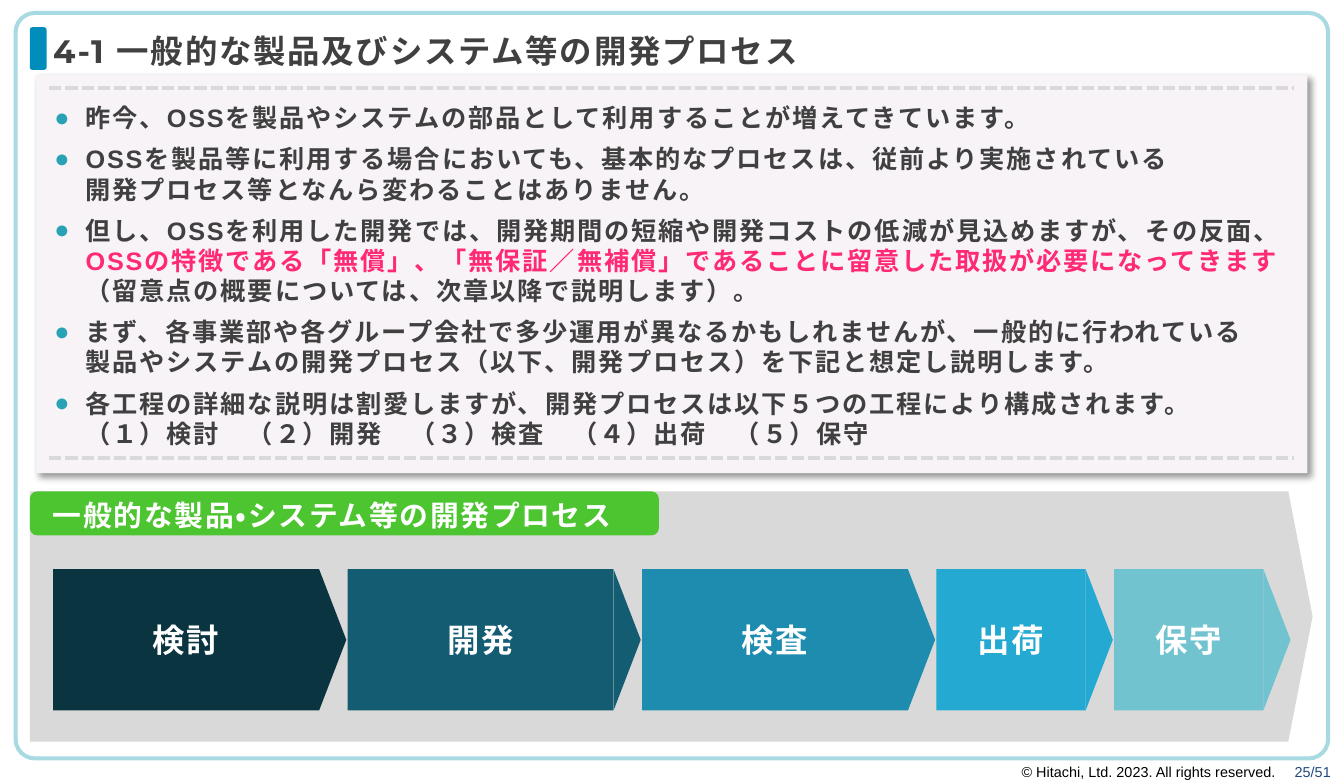
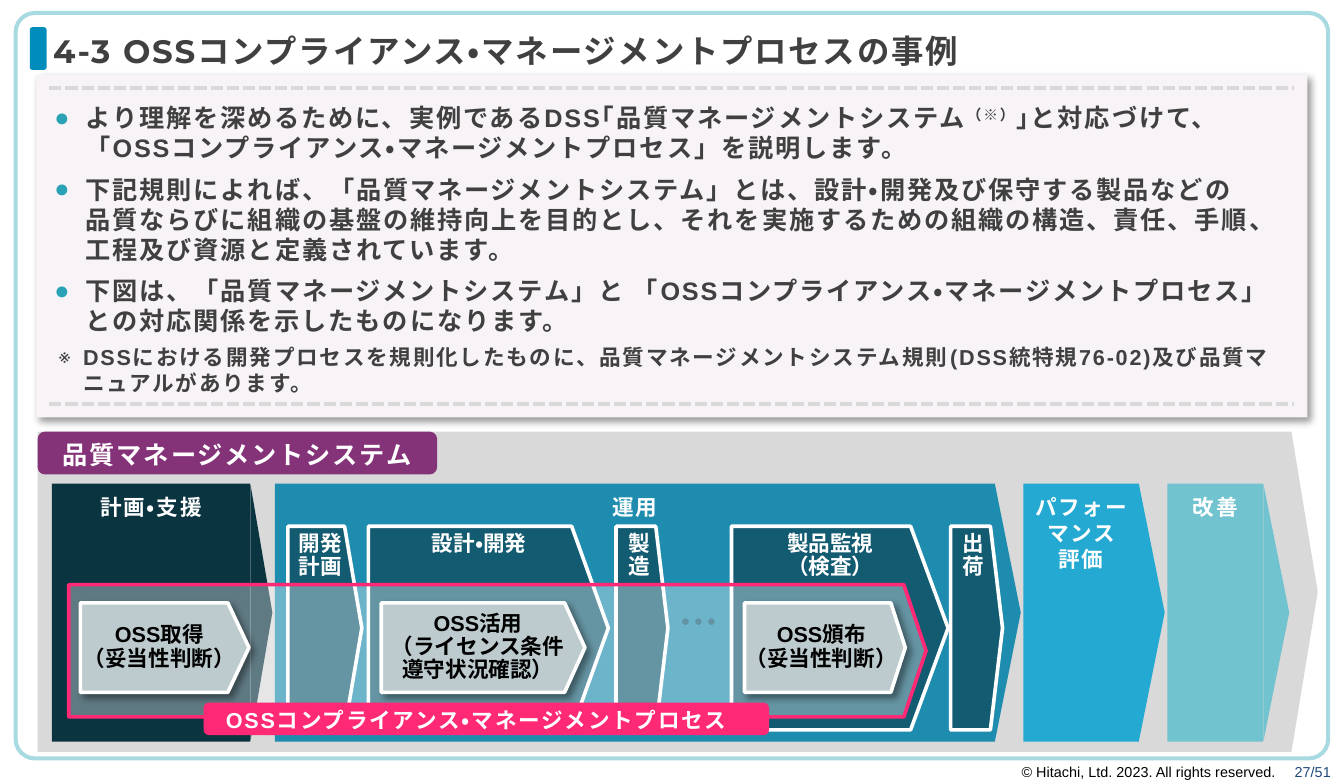
from copy import deepcopy

from lxml import etree
from pptx import Presentation
from pptx.dml.color import RGBColor
from pptx.enum.dml import MSO_LINE
from pptx.enum.lang import MSO_LANGUAGE_ID
from pptx.enum.shapes import MSO_CONNECTOR, MSO_SHAPE
from pptx.enum.text import MSO_ANCHOR, MSO_AUTO_SIZE, PP_ALIGN
from pptx.oxml.ns import qn
from pptx.util import Cm, Inches, Pt

RECTANGLE = MSO_SHAPE.RECTANGLE
ROUNDED = MSO_SHAPE.ROUNDED_RECTANGLE
TRIANGLE = MSO_SHAPE.ISOSCELES_TRIANGLE
PENTAGON = MSO_SHAPE.PENTAGON
OVAL = MSO_SHAPE.OVAL
STRAIGHT = MSO_CONNECTOR.STRAIGHT
SYSTEM_DASH = MSO_LINE.SQUARE_DOT
LEFT, CENTER, RIGHT = PP_ALIGN.LEFT, PP_ALIGN.CENTER, PP_ALIGN.RIGHT
TOP, MIDDLE = MSO_ANCHOR.TOP, MSO_ANCHOR.MIDDLE
NO_AUTOFIT = MSO_AUTO_SIZE.NONE
JAPANESE = MSO_LANGUAGE_ID.JAPANESE

COLORS = {
    "black": "000000", "white": "FFFFFF", "text": "404040", "page": "1F497D",
    "frame": "A8DAE2", "marker": "008DBC", "panel": "F7F3F7", "gray": "D9D9D9",
    "bullet": "29A2B5", "pink": "FF2975", "green": "4DC531", "purple": "853379",
    "navy": "0B3441", "teal": "145C72", "blue": "1E8CAE", "sky": "24A9D2",
    "aqua": "72C3D0", "dot": "105973", "task": "BDCBCE",
}
DEFAULT_INSETS = (0.1, 0.05, 0.1, 0.05)
LIST_INSETS = (0.08, 0, 0.16, 0)


def color(name):
    """Return the named palette colour."""
    return RGBColor.from_string(COLORS[name])


def add_xml(parent, tag, **attributes):
    """Append a drawing element with attributes and return it."""
    element = etree.SubElement(parent, qn(tag))
    for key, value in attributes.items():
        element.set(key, str(value))
    return element


def add_bullet(paragraph, character, indent, tint):
    """Give a paragraph a hanging bullet."""
    properties = paragraph._p.get_or_add_pPr()
    properties.set("marL", str(Inches(indent)))
    properties.set("indent", str(-Inches(indent)))
    add_xml(add_xml(properties, "a:buClr"), "a:srgbClr", val=COLORS[tint])
    add_xml(properties, "a:buFont", typeface="Arial")
    add_xml(properties, "a:buChar", char=character)


def add_run(paragraph, text, size, tint, bold, tracking, font, baseline):
    """Add formatted text to a paragraph, breaking at newlines."""
    for number, piece in enumerate(text.split("\n")):
        if number:
            paragraph.add_line_break()
            paragraph._p[-1].append(deepcopy(run._r.rPr))
        run = paragraph.add_run()
        run.text = piece
        run.font.name, run.font.size, run.font.bold = font, Pt(size), bold
        run.font.color.rgb = color(tint)
        run.font.language_id = JAPANESE
        properties = run._r.get_or_add_rPr()
        if tracking:
            properties.set("spc", str(tracking * 100))
        if baseline:
            properties.set("baseline", str(baseline * 1000))


def write(shape, paragraphs, size=12, tint="white", bold=True, tracking=0, font="Arial",
          align=LEFT, anchor=TOP, insets=DEFAULT_INSETS, wrap=True, spacing=1.0,
          before=0, bullet=None):
    """Fill a shape with paragraphs, each a string or a list of (text, changes) runs."""
    frame = shape.text_frame
    frame.auto_size, frame.word_wrap, frame.vertical_anchor = NO_AUTOFIT, wrap, anchor
    (frame.margin_left, frame.margin_top,
     frame.margin_right, frame.margin_bottom) = map(Inches, insets)
    style = dict(size=size, tint=tint, bold=bold, tracking=tracking, font=font, baseline=0)
    for number, content in enumerate(paragraphs):
        paragraph = frame.add_paragraph() if number else frame.paragraphs[0]
        paragraph.alignment, paragraph.line_spacing = align, spacing
        paragraph.space_before = Pt(before if number else 0)
        if bullet:
            add_bullet(paragraph, *bullet)
        runs = [(content, {})] if isinstance(content, str) else content
        for text, changes in runs:
            add_run(paragraph, text, **{**style, **changes})


def add_shape(slide, kind, box, fill=None, opacity=None, line=None, weight=2,
              adjustment=None, shadow=False):
    """Add a preset shape in a box of inches."""
    shape = slide.shapes.add_shape(kind, *map(Inches, box))
    shape.shadow.inherit = False
    properties = shape.element.spPr
    if adjustment is not None:
        shape.adjustments[0] = adjustment
    if fill:
        shape.fill.solid()
        shape.fill.fore_color.rgb = color(fill)
    else:
        shape.fill.background()
    if opacity:
        tone = properties.find(qn("a:solidFill")).find(qn("a:srgbClr"))
        add_xml(tone, "a:alpha", val=opacity * 1000)
    if line:
        shape.line.color.rgb = color(line)
        shape.line.width = Pt(weight)
    else:
        shape.line.fill.background()
    if shadow:
        outer = add_xml(properties.find(qn("a:effectLst")), "a:outerShdw", blurRad=Pt(4),
                        dist=Pt(3), dir=45 * 60000, algn="tl", rotWithShape=0)
        add_xml(add_xml(outer, "a:srgbClr", val=COLORS["black"]), "a:alpha", val=40000)
    return shape


def place(shape, box):
    """Move a shape to a box of inches."""
    shape.left, shape.top, shape.width, shape.height = map(Inches, box)


def add_base(presentation, title, page):
    """Add a slide with the shared frame, title and footer."""
    slide = presentation.slides.add_slide(presentation.slide_layouts[1])
    footer = slide.shapes.add_textbox(*map(Inches, (6.81, 5.84, 3.55, 0.24)))
    write(footer, [[("© Hitachi, Ltd. 2023. All rights reserved. 　", {}),
                    (page, {"tint": "page"})]],
          size=8, tint="black", bold=False, align=RIGHT)
    add_shape(slide, ROUNDED, (0.23, 0.21, 0.13, 0.33), "marker")
    add_shape(slide, ROUNDED, (0.12, 0.1, 10.12, 5.75), line="frame", weight=2.25,
              adjustment=0.026)
    place(slide.shapes.title, (0.31, 0.22, 9.83, 0.37))
    write(slide.shapes.title, [title], size=18, tint="text", tracking=1,
          font="Montserrat", anchor=MIDDLE, spacing=0.9)
    return slide


def add_panel(slide, box, points, bottom_gap=0.1):
    """Add the shaded panel with dashed rules and the bullet list."""
    left, top, width, height = box
    add_shape(slide, RECTANGLE, box, "panel", shadow=True)
    for y in (top + 0.1, top + height - bottom_gap):
        rule = slide.shapes.add_connector(
            STRAIGHT, *map(Inches, (left + 0.1, y, left + width - 0.1, y)))
        rule.line.color.rgb = color("gray")
        rule.line.width, rule.line.dash_style = Pt(2.25), SYSTEM_DASH
        add_xml(rule.element.spPr, "a:effectLst")
    body = slide.placeholders[1]
    place(body, (left + 0.06, top + 0.21, width - 0.02, height - 0.35))
    body.element.getparent().append(body.element)
    write(body, points, size=14, tint="text", tracking=1, insets=LIST_INSETS,
          before=6, bullet=("●", 0.24, "bullet"))


def add_label(slide, box, text, fill, size, align=LEFT):
    """Add a rounded heading label."""
    label = add_shape(slide, ROUNDED, box, fill)
    write(label, [text], size=size, tracking=1, align=align, anchor=MIDDLE,
          insets=(0.16, 0.02, 0.16, 0))


def add_steps(slide, origin, height, gap, steps, **text_format):
    """Add a row of blocks with pointed ends, each (lines, fill, width, tip)."""
    left, top = origin
    for lines, fill, width, tip in steps:
        block = add_shape(slide, RECTANGLE, (left, top, width, height), fill)
        write(block, lines, tracking=1, align=CENTER, **text_format)
        point = add_shape(slide, TRIANGLE, (left + width + (tip - height) / 2,
                                            top + (height - tip) / 2, height, tip), fill)
        point.rotation = 90
        left += width + tip + gap


def add_general_flow(slide, box):
    """Add the five-step development process."""
    left, top, width, height = box
    add_shape(slide, PENTAGON, box, "gray", adjustment=0.097)
    add_label(slide, (left, top, 4.85, 0.34), "一般的な製品・システム等の開発プロセス", "green", 16)
    steps = [(["検討"], "navy", 2.05, 0.21), (["開発"], "teal", 2.05, 0.21),
             (["検査"], "blue", 2.05, 0.21), (["出荷"], "sky", 1.15, 0.21),
             (["保守"], "aqua", 1.15, 0.21)]
    add_steps(slide, (left + 0.18, top + 0.6), 1.09, 0.01, steps,
              size=18, anchor=MIDDLE, insets=(0, 0, 0, 0))


def add_quality_flow(slide, box):
    """Add the quality management system with the compliance process over it."""
    left, top, width, height = box
    add_shape(slide, PENTAGON, box, "gray", adjustment=0.082)
    steps = [(["計画・支援"], "navy", 1.53, 0.17), (["運用"], "blue", 5.55, 0.2),
             (["パフォー", "マンス", "評価"], "sky", 0.89, 0.2), (["改善"], "aqua", 0.74, 0.2)]
    add_steps(slide, (left + 0.11, top + 0.4), 1.99, 0.02, steps,
              insets=(0, 0.08, 0, 0), wrap=False)
    add_label(slide, (left, top, 3.08, 0.33), "品質マネージメントシステム", "purple", 14, CENTER)

    phases = [(1.93, 0.57, 0.234, ["開発", "計画"]), (2.55, 1.85, 0.18, ["設計・開発"]),
              (4.46, 0.4, 0.234, ["製\n造"]), (5.35, 1.67, 0.184, ["製品監視\n（検査）"]),
              (7.04, 0.4, 0.234, ["出\n荷"])]
    for x, phase_width, adjustment, lines in phases:
        phase = add_shape(slide, PENTAGON, (left + x, top + 0.73, phase_width, 1.57), "black",
                          opacity=35, line="white", adjustment=adjustment)
        write(phase, lines, align=CENTER, wrap=False, spacing=0.9)
    for number in range(3):
        add_shape(slide, OVAL, (left + 4.97 + 0.1 * number, top + 1.44, 0.05, 0.05), "dot")

    add_shape(slide, PENTAGON, (left + 0.24, top + 1.18, 6.61, 1.02), "white", opacity=35,
              line="pink", adjustment=0.168)
    tasks = [(0.33, 1.3, 0.236, ["OSS取得", "（妥当性判断）"]),
             (2.65, 1.57, 0.227, ["OSS活用", "（ライセンス条件", "遵守状況確認）"]),
             (5.45, 1.24, 0.161, ["OSS頒布", "（妥当性判断）"])]
    for x, task_width, adjustment, lines in tasks:
        task = add_shape(slide, PENTAGON, (left + x, top + 1.32, task_width, 0.69), "task",
                         line="white", adjustment=adjustment, shadow=True)
        write(task, lines, tint="black", align=CENTER, anchor=MIDDLE, wrap=False, spacing=0.9)
    add_label(slide, (left + 1.28, top + 2.09, 4.36, 0.25),
              "OSSコンプライアンス・マネージメントプロセス", "pink", 12)


def build_general_slide(presentation):
    """Build the slide on the general development process."""
    slide = add_base(presentation, "4-1 一般的な製品及びシステム等の開発プロセス", "25/51")
    add_panel(slide, (0.28, 0.58, 9.8, 3.07), [
        "昨今、OSSを製品やシステムの部品として利用することが増えてきています。",
        "OSSを製品等に利用する場合においても、基本的なプロセスは、従前より実施されている\n"
        "開発プロセス等となんら変わることはありません。",
        [("但し、OSSを利用した開発では、開発期間の短縮や開発コストの低減が見込めますが、その反面、", {}),
         ("OSSの特徴である「無償」、「無保証／無補償」であることに留意した取扱が必要になってきます",
          {"tint": "pink"}),
         ("（留意点の概要については、次章以降で説明します）。", {})],
        "まず、各事業部や各グループ会社で多少運用が異なるかもしれませんが、一般的に行われている\n"
        "製品やシステムの開発プロセス（以下、開発プロセス）を下記と想定し説明します。",
        "各工程の詳細な説明は割愛しますが、開発プロセスは以下５つの工程により構成されます。"
        "　（１）検討　（２）開発　（３）検査　（４）出荷　（５）保守",
    ], bottom_gap=0.12)
    add_general_flow(slide, (0.23, 3.79, 9.89, 1.93))


def build_quality_slide(presentation):
    """Build the slide on the compliance management example."""
    slide = add_base(presentation, "4-3 OSSコンプライアンス・マネージメントプロセスの事例", "27/51")
    add_panel(slide, (0.28, 0.58, 9.8, 2.64), [
        [("より理解を深めるために、実例であるDSS｢品質マネージメントシステム", {}),
         ("（※）", {"baseline": 30}),
         ("｣と対応づけて、 「OSSコンプライアンス・マネージメントプロセス」を説明します。", {})],
        "下記規則によれば、「品質マネージメントシステム」とは、設計・開発及び保守する製品などの\n"
        "品質ならびに組織の基盤の維持向上を目的とし、それを実施するための組織の構造、責任、手順、\n"
        "工程及び資源と定義されています。",
        "下図は、「品質マネージメントシステム」と 「OSSコンプライアンス・マネージメントプロセス」"
        "との対応関係を示したものになります。",
    ])
    note = slide.shapes.add_textbox(*map(Inches, (0.37, 2.65, 9.68, 0.39)))
    write(note, ["DSSにおける開発プロセスを規則化したものに、品質マネージメントシステム規則"
                 "(DSS統特規76-02)及び品質マニュアルがあります。"],
          tint="text", tracking=1, insets=LIST_INSETS, bullet=("※", 0.19, "text"))
    add_quality_flow(slide, (0.29, 3.33, 9.87, 2.47))


def main():
    """Build and save the presentation."""
    presentation = Presentation()
    presentation.slide_width = Cm(26.32)
    presentation.slide_height = Cm(15.36)
    build_general_slide(presentation)
    build_quality_slide(presentation)
    presentation.save("out.pptx")


if __name__ == "__main__":
    main()
